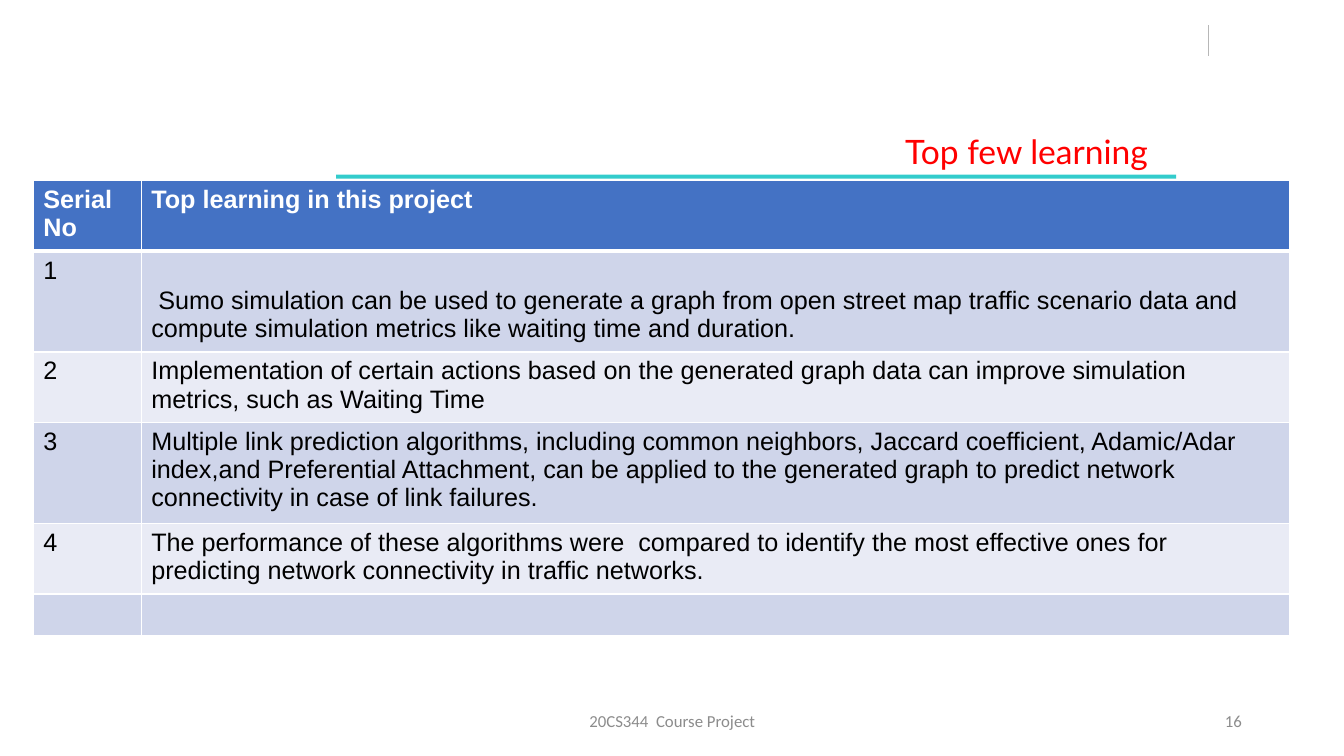
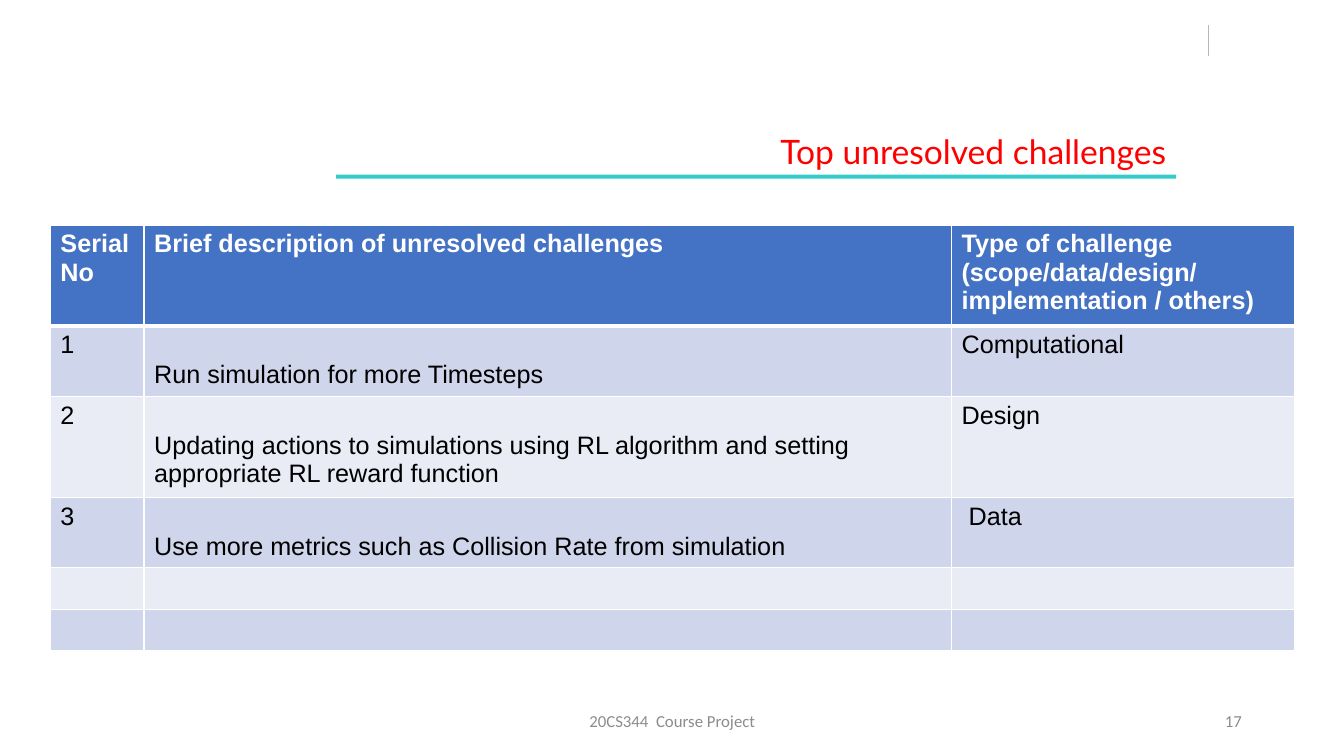
from lxml.etree import SubElement
from pptx import Presentation
from pptx.dml.color import RGBColor
from pptx.enum.shapes import MSO_CONNECTOR, MSO_SHAPE
from pptx.enum.text import MSO_ANCHOR, PP_ALIGN
from pptx.oxml.ns import qn
from pptx.util import Cm, Pt

# Shared style
RED, TEAL, GREY, RULE = "FF0000", "33CCCC", "8C8C8C", "B7B7B7"
HEADER, BANDS = "4472C4", ("CFD5EA", "E9EBF5")
WHITE, BLACK = "FFFFFF", "000000"
LOW_MARGIN = 0.89  # top margin of cells whose text starts one line down
FOOTER = "20CS344  Course Project"


def rgb(value):
    return RGBColor.from_string(value)


def add_run(p, text, font, size, color, bold=False):
    r = p.add_run()
    r.text = text
    r.font.name, r.font.size, r.font.bold = font, Pt(size), bold
    r.font.color.rgb = rgb(color)


# Slide content: table place, columns, row heights, rows and low cells
slides = [
    dict(
        title="Top few learning", title_margin=0.71, number=16,
        left=0.84, top=4.55, cols=[2.72, 28.93],
        heights=[1.78, 2.54, 1.78, 2.54, 1.78, 1.04],
        low=[(1, 1)],
        rows=[
            ["Serial\nNo", "Top learning in this project"],
            ["1", " Sumo simulation can be used to generate a graph from open street map "
                  "traffic scenario data and compute simulation metrics like waiting time "
                  "and duration."],
            ["2", "Implementation of certain actions based on the generated graph data can "
                  "improve simulation metrics, such as Waiting Time"],
            ["3", "Multiple link prediction algorithms, including common neighbors, Jaccard "
                  "coefficient, Adamic/Adar index,and Preferential Attachment, can be applied "
                  "to the generated graph to predict network connectivity in case of link "
                  "failures."],
            ["4", "The performance of these algorithms were  compared to identify the most "
                  "effective ones for predicting network connectivity in traffic networks."],
            ["", ""],
        ],
    ),
    dict(
        title="Top unresolved challenges", title_margin=0.25, number=17,
        left=1.27, top=5.67, cols=[2.36, 20.35, 8.64],
        heights=[2.54, 1.78, 2.54, 1.78, 1.04, 1.04],
        low=[(1, 1), (2, 1), (3, 1)],
        rows=[
            ["Serial No", "Brief description of unresolved challenges",
             "Type of challenge\n(scope/data/design/implementation / others)"],
            ["1", "Run simulation for more Timesteps", "Computational"],
            ["2", "Updating actions to simulations using RL algorithm and setting "
                  "appropriate RL reward function", "Design"],
            ["3", "Use more metrics such as Collision Rate from simulation", " Data"],
            ["", "", ""],
            ["", "", ""],
        ],
    ),
]

prs = Presentation()
prs.slide_width, prs.slide_height = Cm(33.87), Cm(19.05)

for content in slides:
    s = prs.slides.add_slide(prs.slide_layouts[5])

    # Thin rule at top right
    line = s.shapes.add_connector(MSO_CONNECTOR.STRAIGHT, Cm(30.45), Cm(0.64), Cm(30.45), Cm(1.4))
    line.line.color.rgb = rgb(RULE)
    line.line.width = Pt(0.75)
    SubElement(line._element.spPr, qn("a:effectLst"))

    # Title and its underline
    bar = s.shapes.add_shape(MSO_SHAPE.RECTANGLE, Cm(8.47), Cm(4.4), Cm(21.17), Cm(0.1))
    bar.shadow.inherit = False
    bar.fill.solid()
    bar.fill.fore_color.rgb = rgb(TEAL)
    bar.line.fill.background()

    title = s.shapes.title
    title.left, title.top, title.width, title.height = Cm(8.05), Cm(3.18), Cm(21.59), Cm(1.27)
    tf = title.text_frame
    tf.vertical_anchor = MSO_ANCHOR.TOP
    tf.margin_right = Cm(content["title_margin"])
    p = tf.paragraphs[0]
    p.alignment = PP_ALIGN.RIGHT
    add_run(p, content["title"], "Lato", 24, RED)

    # Table
    rows, cols, heights = content["rows"], content["cols"], content["heights"]
    table = s.shapes.add_table(
        len(rows), len(cols), Cm(content["left"]), Cm(content["top"]),
        Cm(sum(cols)), Cm(sum(heights))).table
    for column, width in zip(table.columns, cols):
        column.width = Cm(width)
    for i, row in enumerate(rows):
        table.rows[i].height = Cm(heights[i])
        header = i == 0
        for j, text in enumerate(row):
            cell = table.cell(i, j)

            # White borders, heavier below the header
            tcPr = cell._tc.get_or_add_tcPr()
            for side in "LRTB":
                heavy = (i, side) in ((0, "B"), (1, "T"))
                ln = SubElement(tcPr, qn("a:ln" + side), w=str(Pt(3 if heavy else 1)))
                SubElement(SubElement(ln, qn("a:solidFill")), qn("a:srgbClr"), val=WHITE)
            cell.fill.solid()
            cell.fill.fore_color.rgb = rgb(HEADER if header else BANDS[(i - 1) % 2])

            if (i, j) in content["low"]:
                cell.margin_top = Cm(LOW_MARGIN)
            if not text:
                continue
            tf = cell.text_frame
            for k, part in enumerate(text.split("\n")):
                p = tf.add_paragraph() if k else tf.paragraphs[0]
                add_run(p, part, "Arial", 18, WHITE if header else BLACK, header)

    # Footer and slide number
    for text, left, width, align in (
        (FOOTER, 11.23, 11.43, PP_ALIGN.CENTER),
        (str(content["number"]), 23.93, 7.62, PP_ALIGN.RIGHT),
    ):
        tf = s.shapes.add_textbox(Cm(left), Cm(17.65), Cm(width), Cm(1.02)).text_frame
        tf.word_wrap = True
        tf.vertical_anchor = MSO_ANCHOR.MIDDLE
        p = tf.paragraphs[0]
        p.alignment = align
        add_run(p, text, "Calibri", 12, GREY)

prs.save("out.pptx")
